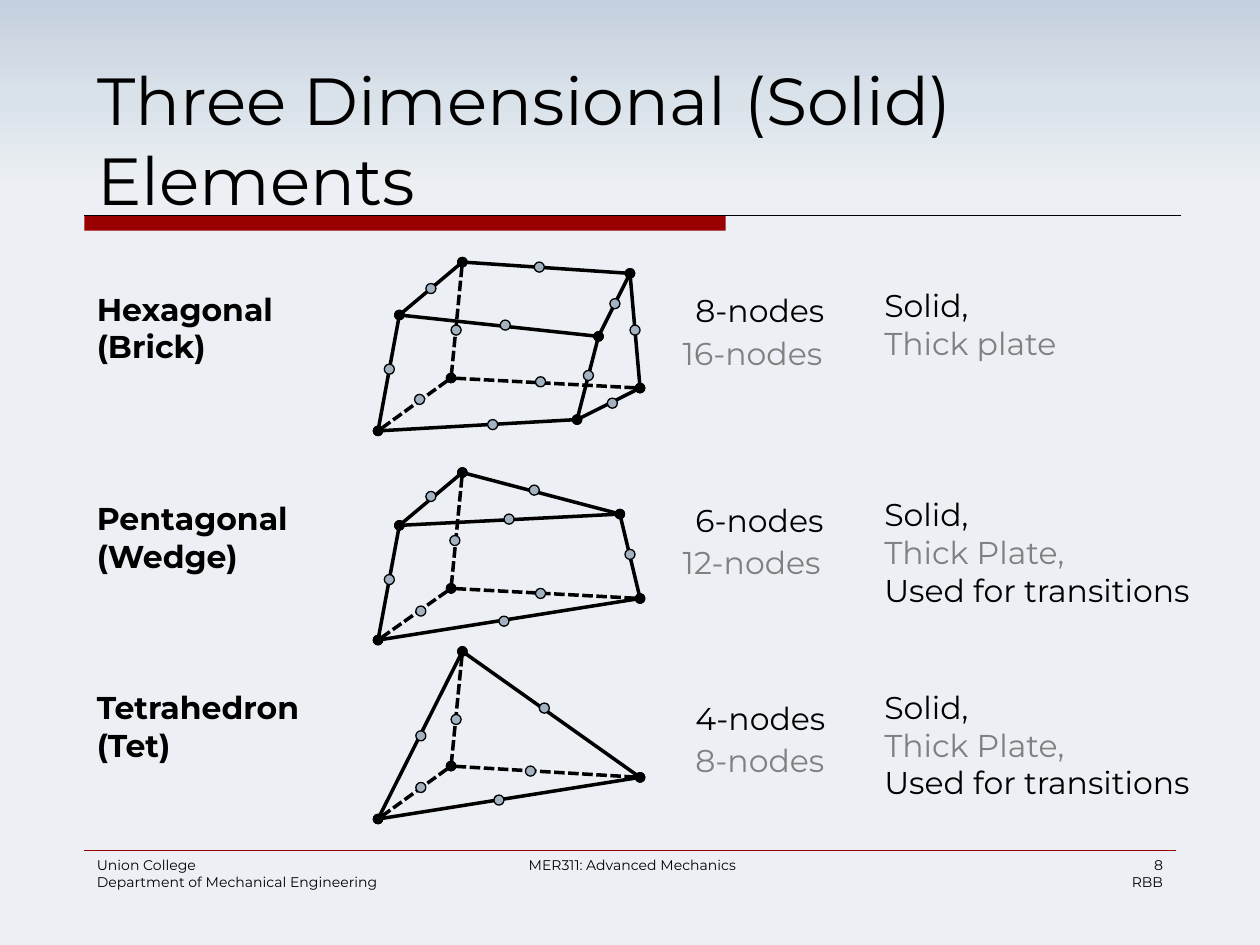
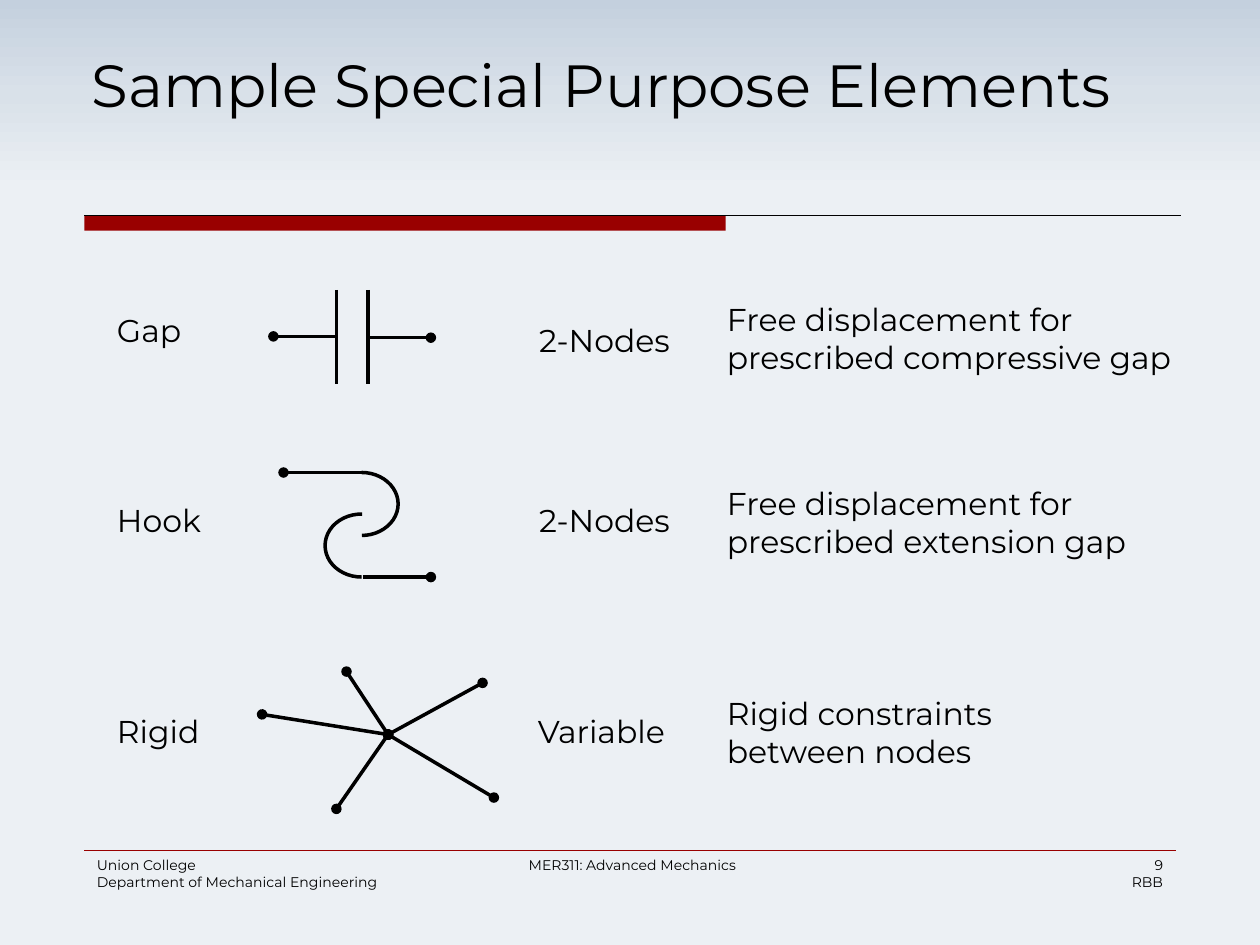
from copy import deepcopy

from lxml import etree
from pptx import Presentation
from pptx.dml.color import RGBColor
from pptx.enum.dml import MSO_LINE
from pptx.enum.shapes import MSO_CONNECTOR, MSO_SHAPE
from pptx.enum.text import MSO_ANCHOR, MSO_AUTO_SIZE, PP_ALIGN
from pptx.oxml.ns import qn
from pptx.util import Inches, Pt

STRAIGHT = MSO_CONNECTOR.STRAIGHT
HIDDEN_DASH = MSO_LINE.SQUARE_DOT
ELLIPSE, RECTANGLE, ARC = MSO_SHAPE.OVAL, MSO_SHAPE.RECTANGLE, MSO_SHAPE.ARC
LEFT, CENTER, RIGHT = PP_ALIGN.LEFT, PP_ALIGN.CENTER, PP_ALIGN.RIGHT
TOP, NO_FIT = MSO_ANCHOR.TOP, MSO_AUTO_SIZE.NONE

FONT = "Montserrat"
BLACK, GRAY, RED, NODE_FILL = "000000", "808080", "990000", "A3B2C1"
BACKGROUND_STOPS = [(0, "C4D0DE"), (0.1, "D9E1E9"), (0.2, "ECF0F4")]
NODE_SIZE = 0.08
HIDDEN_CORNER = "H"

FOOTERS = [
    (0.67, 2.75, ["Union College", "Department of Mechanical Engineering"], LEFT),
    (3.81, 2.42, ["MER311: Advanced Mechanics"], CENTER),
]
PAGE_INITIALS = "RBB"

SOLIDS = [
    {
        "corners": {
            "A": (3.17, 2.5), "B": (4.75, 2.67), "C": (4.58, 3.33), "D": (3, 3.42),
            "E": (3.67, 2.08), "F": (5, 2.17), "G": (5.08, 3.08), "H": (3.58, 3),
        },
        "edges": {
            "AB": (4.01, 2.58), "BC": (4.67, 2.98), "AD": (3.09, 2.93),
            "CD": (3.91, 3.37), "AE": (3.42, 2.29), "EF": (4.28, 2.12),
            "FB": (4.88, 2.41), "FG": (5.04, 2.62), "GC": (4.86, 3.2),
            "EH": (3.62, 2.62), "HG": (4.29, 3.03), "HD": (3.33, 3.17),
        },
    },
    {
        "corners": {
            "A": (3.17, 4.17), "B": (4.92, 4.08), "C": (5.08, 4.75),
            "D": (3, 5.08), "E": (3.67, 3.75), "H": (3.58, 4.67),
        },
        "edges": {
            "AB": (4.04, 4.12), "AD": (3.09, 4.6), "CD": (4, 4.93),
            "AE": (3.42, 3.94), "EB": (4.24, 3.89), "BC": (5, 4.4),
            "EH": (3.61, 4.29), "HC": (4.29, 4.71), "HD": (3.34, 4.85),
        },
    },
    {
        "corners": {"C": (5.08, 6.17), "D": (3, 6.5), "E": (3.67, 5.17), "H": (3.58, 6.08)},
        "edges": {
            "CD": (3.96, 6.35), "DE": (3.34, 5.84), "EC": (4.32, 5.62),
            "EH": (3.62, 5.71), "HC": (4.21, 6.12), "HD": (3.34, 6.25),
        },
    },
]

TRANSITION_USES = [("Solid,", BLACK), ("Thick Plate,", GRAY), ("Used for transitions", BLACK)]
SOLID_NAMES = [
    (0.67, 2.25, 1.67, ["Hexagonal", "(Brick)"]),
    (0.67, 3.91, 1.76, ["Pentagonal", "(Wedge)"]),
    (0.67, 5.41, 1.89, ["Tetrahedron", "(Tet)"]),
]
SOLID_LABELS = [
    (5.42, 2.26, 1.28, ["8-nodes"]),
    (5.42, 3.93, 1.28, ["6-nodes"]),
    (5.42, 5.5, 1.28, ["4-nodes"]),
    (5.32, 2.6, 1.45, [("16-nodes", GRAY)]),
    (5.32, 4.26, 1.45, [("12-nodes", GRAY)]),
    (5.42, 5.83, 1.28, [("8-nodes", GRAY)]),
    (6.92, 2.22, 1.76, [("Solid,", BLACK), ("Thick plate", GRAY)]),
    (6.92, 3.88, 2.94, TRANSITION_USES),
    (6.92, 5.41, 2.94, TRANSITION_USES),
]

SPECIAL_LABELS = [
    (0.83, 2.42, 0.75, ["Gap"]),
    (0.83, 3.93, 0.92, ["Hook"]),
    (0.83, 5.6, 0.9, ["Rigid"]),
    (4.18, 2.5, 1.32, ["2-Nodes"]),
    (4.18, 3.93, 1.32, ["2-Nodes"]),
    (4.17, 5.6, 1.34, ["Variable"]),
    (5.67, 2.33, 4.1, ["Free displacement for", "prescribed compressive gap"]),
    (5.67, 3.79, 3.71, ["Free displacement for", "prescribed extension gap"]),
    (5.67, 5.46, 2.56, ["Rigid constraints", "between nodes"]),
]
GAP_PLATES = [2.67, 2.92]
NODE_LEADS = [
    ((2.67, 2.67), (2.17, 2.67)),
    ((2.92, 2.68), (3.42, 2.68)),
    ((2.88, 3.75), (2.25, 3.75)),
    ((2.88, 4.58), (3.42, 4.58)),
]
HOOK_ARCS = [(3.75, 162, 53.61), (4.08, 54, 162.61)]
RIGID_CENTER = (3.08, 5.83)
RIGID_ENDS = [(2.75, 5.33), (2.08, 5.67), (3.83, 5.42), (3.92, 6.33), (2.67, 6.42)]


def color(value):
    return RGBColor.from_string(value)


def set_values(target, values):
    for name, value in values.items():
        setattr(target, name, value)


def write_lines(frame, lines, size, align=LEFT, bold=False):
    for index, line in enumerate(lines):
        text, shade = (line, BLACK) if isinstance(line, str) else line
        para = frame.paragraphs[0] if index == 0 else frame.add_paragraph()
        para.alignment = align
        span = para.add_run()
        span.text = text
        set_values(span.font, {"name": FONT, "size": Pt(size), "bold": bold})
        span.font.color.rgb = color(shade)


def add_text(page, left, top, width, lines, size=18, align=LEFT, bold=False, wrap=False):
    height = 0.1 + len(lines) * size * 0.017
    box = page.shapes.add_textbox(Inches(left), Inches(top), Inches(width), Inches(height))
    box.text_frame.word_wrap = wrap
    write_lines(box.text_frame, lines, size, align, bold)


def add_line(page, start, end, shade=BLACK, width=2, dash=None, ovals=()):
    points = [Inches(value) for value in (*start, *end)]
    line = page.shapes.add_connector(STRAIGHT, *points)
    line.line.color.rgb = color(shade)
    line.line.width = Pt(width)
    if dash:
        line.line.dash_style = dash
    properties = line.element.spPr
    outline = properties.find(qn("a:ln"))
    for name in ovals:
        etree.SubElement(outline, qn(f"a:{name}"), type="oval")
    etree.SubElement(properties, qn("a:effectLst"))


def add_figure(page, kind, left, top, width, height, fill=None, outline=None, weight=0.75):
    figure = page.shapes.add_shape(
        kind, Inches(left), Inches(top), Inches(width), Inches(height))
    figure.shadow.inherit = False
    if fill:
        figure.fill.solid()
        figure.fill.fore_color.rgb = color(fill)
    else:
        figure.fill.background()
    if outline:
        figure.line.color.rgb = color(outline)
        figure.line.width = Pt(weight)
    else:
        figure.line.fill.background()
    return figure


def set_background(master):
    fill = master.background.fill
    fill.gradient()
    fill.gradient_angle = 270
    stop_list = master.element.find(".//" + qn("a:gsLst"))
    stop_list.append(deepcopy(stop_list[-1]))
    for stop, (position, shade) in zip(fill.gradient_stops, BACKGROUND_STOPS):
        stop.position = position
        stop.color.rgb = color(shade)


def add_page(deck, number, title, left, top, size):
    page = deck.slides.add_slide(deck.slide_layouts[5])
    heading = page.shapes.title
    set_values(heading, {"left": Inches(left), "top": Inches(top),
                         "width": Inches(8.75), "height": Inches(1.33)})
    set_values(heading.text_frame, {"word_wrap": True, "auto_size": NO_FIT,
                                    "vertical_anchor": TOP})
    write_lines(heading.text_frame, [title], size)
    add_figure(page, RECTANGLE, 0.67, 1.71, 5.09, 0.12, RED)
    add_line(page, (0.67, 1.71), (9.37, 1.71), BLACK, 0.75)
    add_line(page, (0.67, 6.75), (9.33, 6.75), RED, 0.25)
    for footer_left, width, lines, align in FOOTERS + [
            (7, 2.33, [str(number), PAGE_INITIALS], RIGHT)]:
        add_text(page, footer_left, 6.75, width, lines, 8, align, wrap=True)
    return page


def add_solid(page, corners, edges):
    for start, end in edges:
        dash = HIDDEN_DASH if HIDDEN_CORNER in (start, end) else None
        add_line(page, corners[start], corners[end], dash=dash, ovals=("headEnd", "tailEnd"))
    for x, y in edges.values():
        add_figure(page, ELLIPSE, x - NODE_SIZE / 2, y - NODE_SIZE / 2,
                   NODE_SIZE, NODE_SIZE, NODE_FILL, BLACK)


def build_solid_elements(deck):
    page = add_page(deck, 8, "Three Dimensional (Solid) Elements", 0.67, 0.42, 38)
    for solid in SOLIDS:
        add_solid(page, **solid)
    for label in SOLID_NAMES:
        add_text(page, *label, bold=True)
    for label in SOLID_LABELS:
        add_text(page, *label)


def build_special_elements(deck):
    page = add_page(deck, 9, "Sample Special Purpose Elements", 0.63, 0.33, 34)
    for x in GAP_PLATES:
        add_line(page, (x, 2.3), (x, 3.05))
    for start, end in NODE_LEADS:
        add_line(page, start, end, ovals=("tailEnd",))
    for top, first_angle, last_angle in HOOK_ARCS:
        hook = add_figure(page, ARC, 2.58, top, 0.58, 0.5, outline=BLACK, weight=2)
        hook.adjustments[0] = first_angle
        hook.adjustments[1] = last_angle
    for end in RIGID_ENDS:
        add_line(page, RIGID_CENTER, end, ovals=("headEnd", "tailEnd"))
    for label in SPECIAL_LABELS:
        add_text(page, *label)


def main():
    deck = Presentation()
    set_values(deck, {"slide_width": Inches(10), "slide_height": Inches(7.5)})
    set_background(deck.slide_master)
    build_solid_elements(deck)
    build_special_elements(deck)
    deck.save("out.pptx")


if __name__ == "__main__":
    main()
